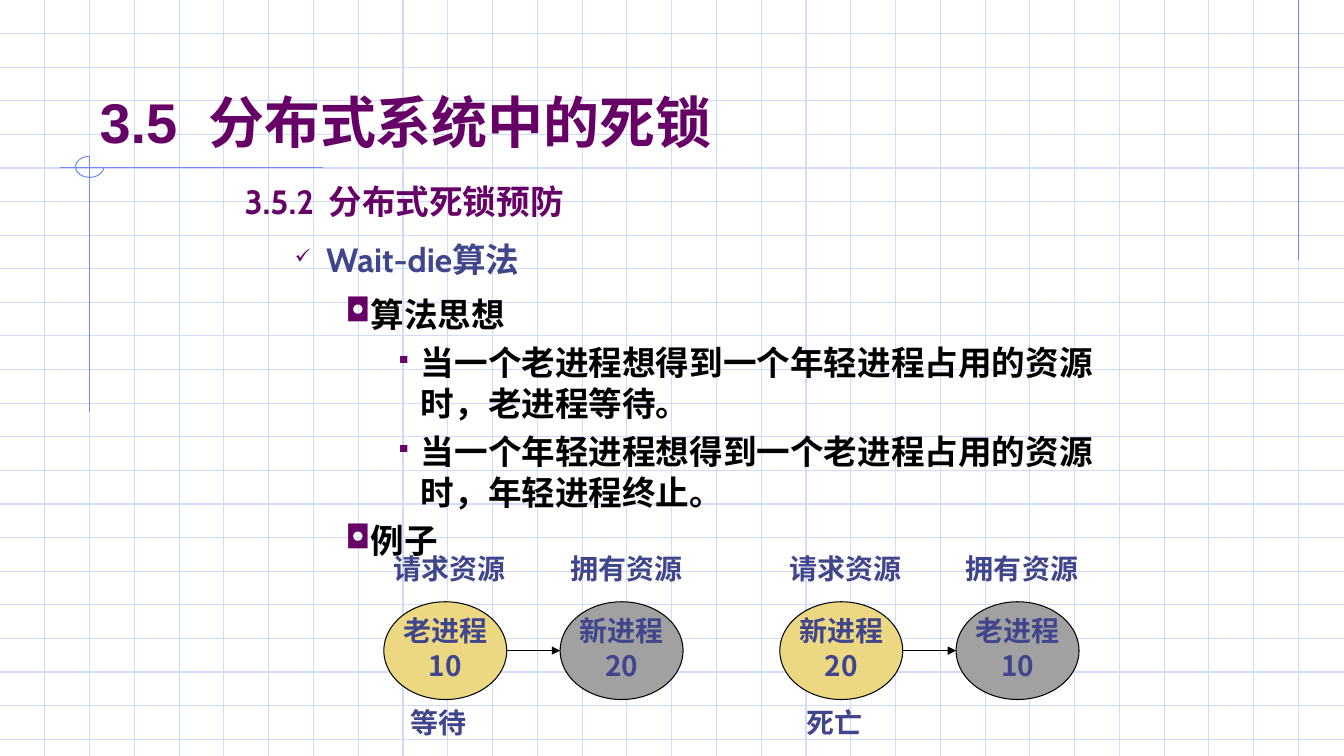
import dataclasses

import lxml.etree
import pptx
import pptx.dml.color
import pptx.enum.shapes
import pptx.enum.text
import pptx.oxml
import pptx.oxml.ns
import pptx.util

Inches = pptx.util.Inches
Pt = pptx.util.Pt
qn = pptx.oxml.ns.qn
SHAPE = pptx.enum.shapes.MSO_SHAPE
ANCHOR = pptx.enum.text.MSO_ANCHOR
ALIGN = pptx.enum.text.PP_ALIGN


@dataclasses.dataclass(frozen=True)
class Theme:
    grid: str = "CFDBFD"
    rule: str = "6F89F7"
    heading: str = "660066"
    accent: str = "40458C"
    ink: str = "000000"
    waiting: str = "ECD882"
    holding: str = "A1A1A1"
    title_size: int = 40
    body_size: int = 24
    label_size: int = 20
    line_width: float = 0.75
    title_font: str = "Arial"
    body_font: str = "Cabin"
    cjk_font: str = "Noto Sans CJK SC"


T = Theme()
WIDTH, HEIGHT = 13.34, 7.5
LEVELS = {
    0: dict(margin=0.38, hang=0.38, bullet=None, percent=0, color=T.heading),
    1: dict(margin=0.81, hang=0.31, bullet="✓", percent=60, color=T.accent),
    2: dict(margin=1.25, hang=0.25, bullet="◘", percent=95, color=T.ink),
    3: dict(margin=1.75, hang=0.25, bullet="▪", percent=65, color=T.ink),
}
OUTLINE = [
    (0, 6, "3.5.2", "分布式死锁预防"),
    (1, 12.5, "", "Wait-die算法"),
    (2, 10, "", "算法思想"),
    (3, 6, "", "当一个老进程想得到一个年轻进程占用的资源时，老进程等待。"),
    (3, 6, "", "当一个年轻进程想得到一个老进程占用的资源时，年轻进程终止。"),
    (2, 6, "", "例子"),
]
OLD, NEW = ("老进程", "10"), ("新进程", "20")
EXAMPLES = [(3.81, OLD, NEW, "等待"), (7.74, NEW, OLD, "死亡")]


def rgb(color):
    return pptx.dml.color.RGBColor.from_string(color)


def apply(target, values):
    for name, value in values.items():
        setattr(target, name, value)


def add_line(s, start, end, color, arrow=False):
    c = s.shapes.add_connector(
        pptx.enum.shapes.MSO_CONNECTOR.STRAIGHT, *map(Inches, start + end))
    c.line.color.rgb = rgb(color)
    c.line.width = Pt(T.line_width)
    if arrow:
        lxml.etree.SubElement(c.line._get_or_add_ln(), qn("a:tailEnd"), type="triangle")
    lxml.etree.SubElement(c._element.spPr, qn("a:effectLst"))


def add_run(p, text, size, color, latin, east, spacing=0):
    r = p.add_run()
    r.text = text
    apply(r.font, dict(size=Pt(size), bold=True, name=latin))
    r.font.color.rgb = rgb(color)
    rPr = r._r.get_or_add_rPr()
    lxml.etree.SubElement(rPr, qn("a:ea"), typeface=east)
    if spacing:
        rPr.set("spc", str(spacing))


def add_numbered(p, number, text, size, color, latin, east, gap):
    if number:
        add_run(p, number, size, color, latin, east)
        add_run(p, " ", size, color, latin, east, gap)
    add_run(p, text, size, color, latin, east)


def add_box(s, box, **values):
    tf = s.shapes.add_textbox(*map(Inches, box)).text_frame
    apply(tf, dict(word_wrap=True, **values))
    return tf


def add_bullet(p, margin, hang, bullet, percent, color):
    pPr = p._p.get_or_add_pPr()
    pPr.set("marL", str(Inches(margin)))
    pPr.set("indent", str(-Inches(hang)))
    if bullet:
        clr = lxml.etree.SubElement(pPr, qn("a:buClr"))
        lxml.etree.SubElement(clr, qn("a:srgbClr"), val=T.heading)
        lxml.etree.SubElement(pPr, qn("a:buSzPct"), val=str(percent * 1000))
        lxml.etree.SubElement(pPr, qn("a:buChar"), char=bullet)


def draw_backdrop(s, box):
    x, y, w, h = box
    for i in range(1, 23):
        add_line(s, (x, y + i / 3), (x + w, y + i / 3), T.grid)
    for i in range(1, 30):
        add_line(s, (x + i * 4 / 9, y), (x + i * 4 / 9, y + h), T.grid)
    for start, end in [((12.89, 0), (12.89, 2.58)),
                       ((3.21, 1.66), (0.6, 1.66)),
                       ((0.89, 1.55), (0.89, 4.09))]:
        add_line(s, (x + start[0], y + start[1]), (x + end[0], y + end[1]), T.rule)
    sp = s.shapes.add_shape(
        SHAPE.ARC, *map(Inches, (x + 0.75, y + 1.55, 0.28, 0.21)))
    sp.adjustments[0] = 0
    sp.adjustments[1] = 270 * 60000 / 100000
    sp.shadow.inherit = False
    sp.fill.background()
    sp.line.color.rgb = rgb(T.rule)
    sp.line.width = Pt(T.line_width)


def draw_title(s, box):
    tf = add_box(s, box, vertical_anchor=ANCHOR.BOTTOM)
    add_numbered(tf.paragraphs[0], "3.5", "分布式系统中的死锁", T.title_size,
                 T.heading, T.title_font, T.cjk_font, 1100)


def draw_outline(s, box):
    tf = add_box(s, box)
    for i, (level, before, number, text) in enumerate(OUTLINE):
        p = tf.add_paragraph() if i else tf.paragraphs[0]
        apply(p, dict(level=level, space_before=Pt(before)))
        add_bullet(p, **LEVELS[level])
        add_numbered(p, number, text, T.body_size, LEVELS[level]["color"],
                     T.body_font, T.body_font, 500)


def draw_label(s, x, y, text):
    p = add_box(s, (x, y, 1.4, 0.44)).paragraphs[0]
    p.line_spacing = 0.82
    add_run(p, text, T.label_size, T.accent, T.cjk_font, T.cjk_font)


def draw_process(s, box, lines, fill):
    sp = s.shapes.add_shape(SHAPE.OVAL, *map(Inches, box))
    sp.shadow.inherit = False
    sp.fill.solid()
    sp.fill.fore_color.rgb = rgb(fill)
    sp.line.color.rgb = rgb(T.ink)
    sp.line.width = Pt(T.line_width)
    tf = sp.text_frame
    apply(tf, dict(word_wrap=False, vertical_anchor=ANCHOR.MIDDLE))
    for i, text in enumerate(lines):
        p = tf.add_paragraph() if i else tf.paragraphs[0]
        apply(p, dict(alignment=ALIGN.CENTER, space_before=Pt(5), line_spacing=0.82))
        add_run(p, text, T.label_size, T.accent, T.cjk_font, T.cjk_font)


def draw_example(s, box, requester, owner, outcome):
    x, y, w, h = box
    oval_w, oval_h, top = 1.22, 0.97, y + 0.49
    right = x + w - oval_w
    draw_process(s, (x, top, oval_w, oval_h), requester, T.waiting)
    draw_process(s, (right, top, oval_w, oval_h), owner, T.holding)
    add_line(s, (x + oval_w, top + oval_h / 2), (right, top + oval_h / 2), T.ink, True)
    draw_label(s, x, y, "请求资源")
    draw_label(s, right, y, "拥有资源")
    draw_label(s, x + 0.17, y + h - 0.44, outcome)


def main():
    prs = pptx.Presentation()
    apply(prs, dict(slide_width=Inches(WIDTH), slide_height=Inches(HEIGHT)))
    s = prs.slides.add_slide(prs.slide_layouts[6])
    draw_backdrop(s, (0, 0, WIDTH, HEIGHT))
    draw_title(s, (0.89, 0.33, 11.33, 1.25))
    draw_outline(s, (2.33, 1.75, 8.74, 5.39))
    for x, requester, owner, outcome in EXAMPLES:
        draw_example(s, (x, 5.48, 2.97, 1.97), requester, owner, outcome)
    prs.save("out.pptx")


if __name__ == "__main__":
    main()
